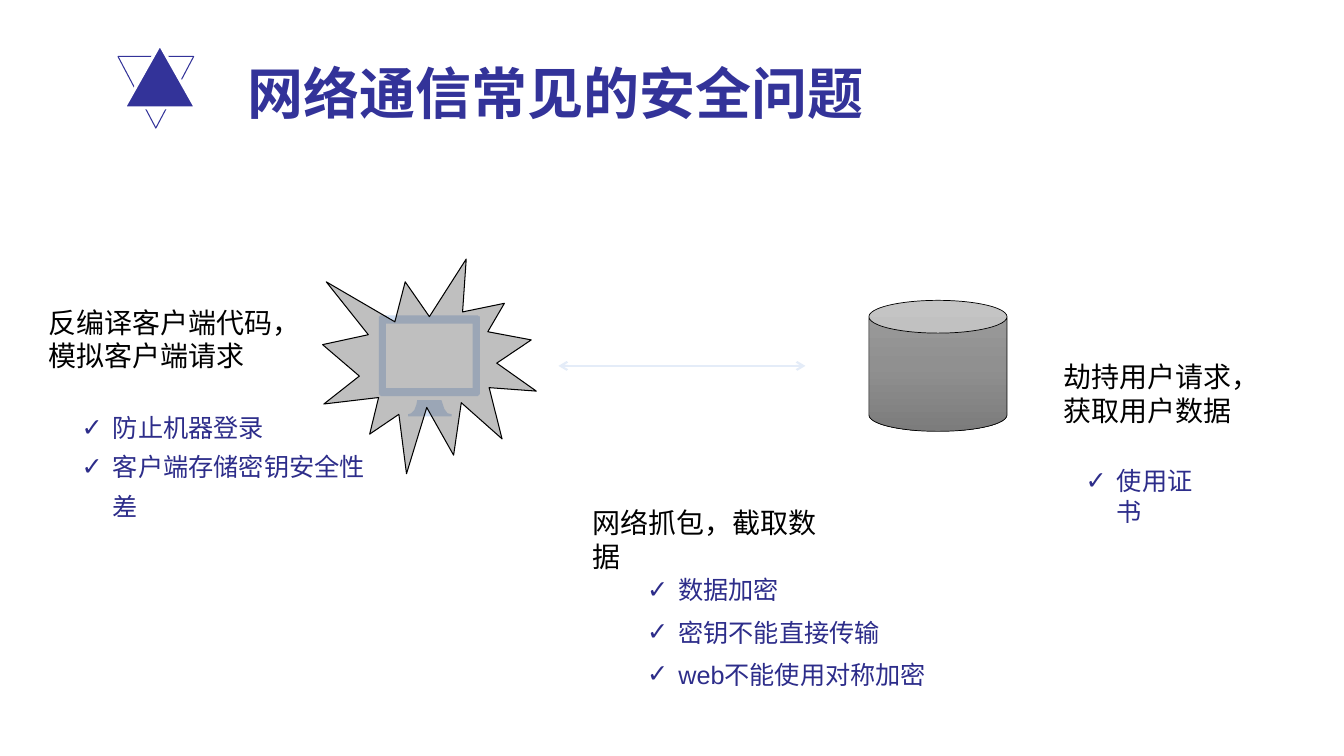
"""Build the slide on common security problems in network communication."""
from copy import deepcopy
from math import cos, radians, sin

from lxml.etree import SubElement
from pptx import Presentation
from pptx.dml.color import RGBColor as Rgb
from pptx.enum.shapes import MSO_CONNECTOR as Link, MSO_SHAPE as Shape
from pptx.enum.text import MSO_ANCHOR as Anchor, MSO_AUTO_SIZE as Fit, PP_ALIGN as Align
from pptx.oxml.ns import qn
from pptx.util import Inches, Pt

COLORS = {
    "title": "333399", "list": "2D2D8A", "text": "000000", "white": "FFFFFF",
    "monitor": "CFDEF3", "arrow": "E4ECF8",
    "can_top": "9D9D9D", "can_middle": "909090", "can_bottom": "7C7C7C",
}
rgb = {name: Rgb.from_string(value) for name, value in COLORS.items()}

deck = Presentation()
deck.slide_width, deck.slide_height = Inches(13.333), Inches(7.5)
slide = deck.slides.add_slide(deck.slide_layouts[4])
shapes = slide.shapes


def box(left, top, width, height):
    """Turn percentages of the slide into left, top, width and height."""
    across, down = deck.slide_width / 100, deck.slide_height / 100
    return [int(left * across), int(top * down), int(width * across), int(height * down)]


def write(holder, lines, size, color, spacing=1.0, bold=False, anchor=Anchor.TOP, bullet=None):
    """Fill a text holder with formatted lines, bulleted on request."""
    frame = holder.text_frame
    for name, value in {"word_wrap": True, "auto_size": Fit.NONE, "vertical_anchor": anchor}.items():
        setattr(frame, name, value)
    frame.text = "\n".join(lines)
    for line in frame.paragraphs:
        layout = {"alignment": Align.LEFT, "line_spacing": spacing, "space_before": Pt(0)}
        for name, value in layout.items():
            setattr(line, name, value)
        if bullet:
            properties = line._p.get_or_add_pPr()
            properties.set("marL", str(Inches(0.31)))
            properties.set("indent", str(-Inches(0.31)))
            SubElement(properties, qn("a:buChar")).set("char", bullet)
        font = line.runs[0].font
        for name, value in {"name": "Arial", "size": Pt(size), "bold": bold}.items():
            setattr(font, name, value)
        font.color.rgb = rgb[color]


title = shapes.title
title.left, title.top, title.width, title.height = box(17.7, 5.87, 75.6, 12.53)
write(title, ["网络通信常见的安全问题"], 40, "title", bold=True, anchor=Anchor.MIDDLE)

figures = {}
for part, preset, area, fill, edge, weight in [
    ("outline", Shape.ISOSCELES_TRIANGLE, (8.78, 7.47, 5.63, 9.47), None, "title", 0.75),
    ("emblem", Shape.ISOSCELES_TRIANGLE, (9.23, 5.87, 5.33, 8.4), "title", "white", 2.25),
    ("server", Shape.CAN, (64.65, 39.73, 10.28, 17.33), "can_top", "text", 0.5),
    ("burst", Shape.EXPLOSION1, (24, 34.27, 15.9, 28.4), "text", "text", 0.75),
]:
    figure = figures[part] = shapes.add_shape(preset, *box(*area))
    figure.shadow.inherit = False
    if fill:
        figure.fill.solid()
        figure.fill.fore_color.rgb = rgb[fill]
    else:
        figure.fill.background()
    figure.line.color.rgb = rgb[edge]
    figure.line.width = Pt(weight)
figures["outline"].rotation = 180

burst_color = figures["burst"]._element.spPr.find(qn("a:solidFill"))[0]
SubElement(burst_color, qn("a:alpha")).set("val", "25000")

shade = figures["server"].fill
shade.gradient()
shade.gradient_angle = 270
stop_list = figures["server"]._element.spPr.find(qn("a:gradFill")).find(qn("a:gsLst"))
stop_list.insert(1, deepcopy(stop_list[0]))
for stop, position, color in zip(shade.gradient_stops, (0, 0.5, 1), ("can_top", "can_middle", "can_bottom")):
    stop.position = position
    stop.color.rgb = rgb[color]

stand = [(38, 84), (62, 84), (65, 93), (68, 97), (72, 98), (72, 100),
         (29, 100), (29, 98), (32, 97), (35, 94), (37, 89)]
screen = [(7, 8), (7, 72), (93, 72), (93, 8)]
frame_edge = [
    (x + 3 * cos(radians(turn + step)), y + 3 * sin(radians(turn + step)))
    for x, y, turn in [(97, 3, 270), (97, 77, 0), (3, 77, 90), (3, 3, 180)]
    for step in range(0, 91, 15)
]
monitor_left, monitor_top, monitor_size, _ = box(28.2, 41.73, 7.5, 13.33)
outline = shapes.build_freeform(*stand[0], scale=monitor_size / 100)
outline.add_line_segments(stand[1:])
for contour in (screen, frame_edge):
    outline.move_to(*contour[0])
    outline.add_line_segments(contour[1:])
monitor = outline.convert_to_shape(monitor_left, monitor_top)
monitor.shadow.inherit = False
monitor.fill.solid()
monitor.fill.fore_color.rgb = rgb["monitor"]
monitor.line.fill.background()
figures["burst"]._element.addprevious(monitor._element)

start_x, level, span, _ = box(41.55, 48.4, 18.38, 0)
traffic = shapes.add_connector(Link.STRAIGHT, start_x, level, start_x + span, level)
traffic.line.color.rgb = rgb["arrow"]
traffic.line.width = Pt(1.5)
for end in ("a:headEnd", "a:tailEnd"):
    SubElement(traffic.line._ln, qn(end)).set("type", "arrow")
SubElement(traffic._element.spPr, qn("a:effectLst"))

*remedy_holders, spare = list(slide.placeholders)[1:]
spare._element.getparent().remove(spare._element)
threats = [
    ("网络抓包，截取数据", (43.35, 66.27, 20.1, 5.73),
     ["数据加密", "密钥不能直接传输", "web不能使用对称加密"], (47.4, 73.73, 22.28, 18.13), 1.4),
    ("反编译客户端代码，模拟客户端请求", (2.85, 39.73, 20.03, 10.27),
     ["防止机器登录", "客户端存储密钥安全性差"], (5.33, 52.67, 24, 11.73), 1.3),
    ("劫持用户请求，获取用户数据", (78.38, 46.93, 17.78, 10.27),
     ["使用证书"], (80.03, 60.93, 10.88, 5.33), 1.0),
]
for remedy_holder, (threat, threat_area, remedies, remedy_area, spacing) in zip(remedy_holders, threats):
    write(shapes.add_textbox(*box(*threat_area)), [threat], 20, "text")
    for name, value in zip(("left", "top", "width", "height"), box(*remedy_area)):
        setattr(remedy_holder, name, value)
    write(remedy_holder, remedies, 18, "list", spacing, bullet="✓")

deck.save("out.pptx")
